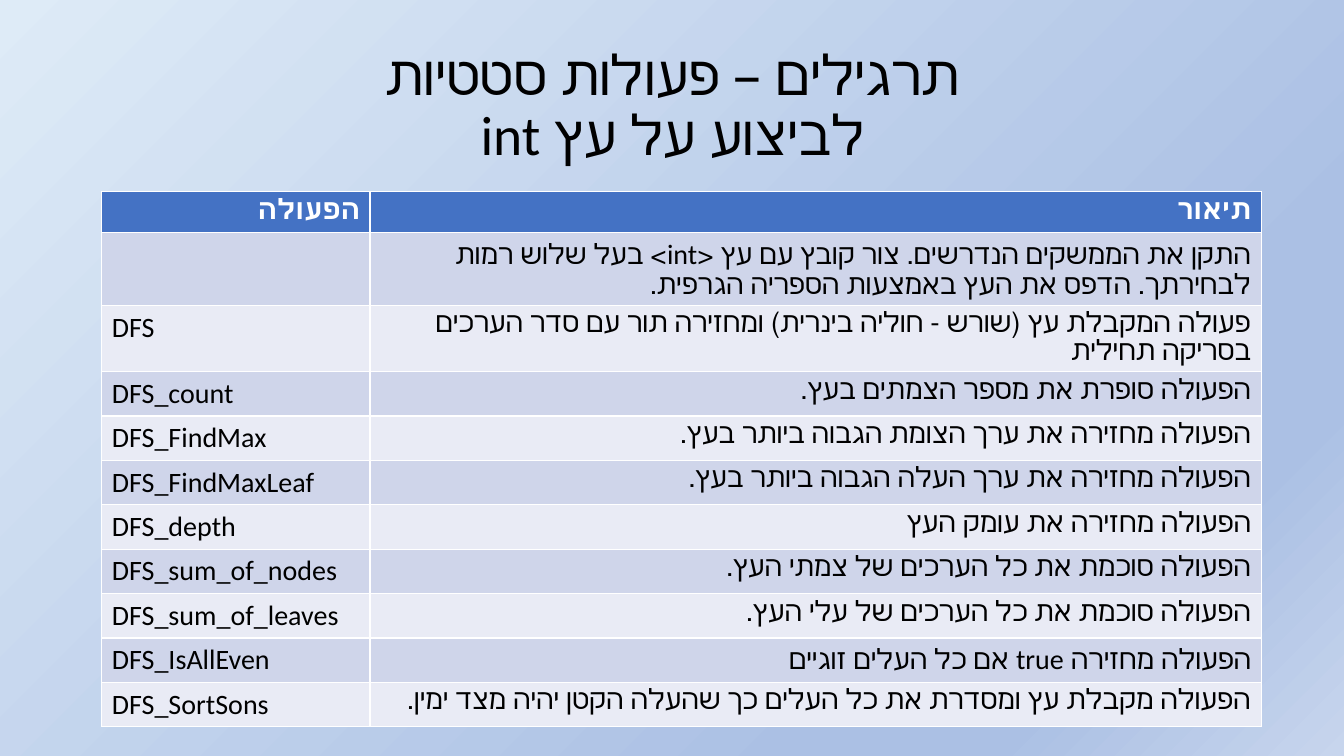
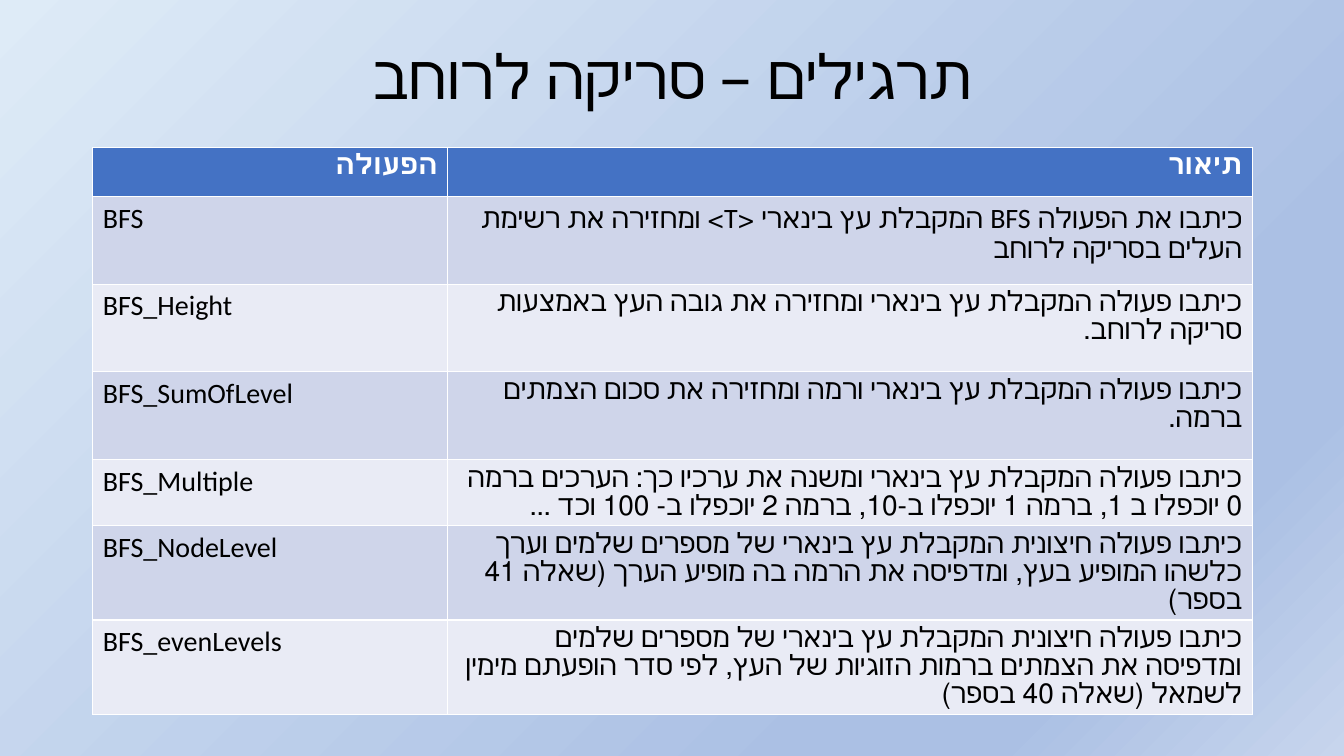
from lxml import etree
from pptx import Presentation
from pptx.dml.color import RGBColor
from pptx.enum.text import MSO_ANCHOR, MSO_AUTO_SIZE, PP_ALIGN
from pptx.oxml.ns import qn
from pptx.util import Inches, Pt

BLACK = RGBColor(0x00, 0x00, 0x00)
WHITE = RGBColor(0xFF, 0xFF, 0xFF)
HEADER_BLUE = RGBColor(0x44, 0x72, 0xC4)
BAND_DARK = RGBColor(0xCF, 0xD5, 0xEA)
BAND_LIGHT = RGBColor(0xE9, 0xEB, 0xF5)
SKY_PALE = RGBColor(0xDE, 0xEB, 0xF7)
SKY_DEEP = RGBColor(0xAB, 0xC0, 0xE4)
SKY_SOFT = RGBColor(0xC7, 0xD5, 0xED)
BACKGROUND_STOPS = [(0, SKY_PALE), (74, SKY_DEEP), (83, SKY_DEEP), (100, SKY_SOFT)]

FONT = "Calibri"
CONTENT_WIDTH = 11.5
HEADINGS = ("הפעולה", "תיאור")

SLIDES = [
    {
        "title": "תרגילים – פעולות סטטיות\nלביצוע על עץ int",
        "title_size": 39.6,
        "title_height": 1.33,
        "table_at": (1.01, 1.9),
        "name_width": 2.66,
        "row_heights": [0.41] * 11,
        "rows": [
            ("", "התקן את הממשקים הנדרשים. צור קובץ עם עץ <int> בעל שלוש רמות לבחירתך. "
                 "הדפס את העץ באמצעות הספריה הגרפית."),
            ("DFS", "פעולה המקבלת עץ (שורש - חוליה בינרית) ומחזירה תור עם סדר הערכים "
                    "בסריקה תחילית"),
            ("DFS_count", "הפעולה סופרת את מספר הצמתים בעץ."),
            ("DFS_FindMax", "הפעולה מחזירה את ערך הצומת הגבוה ביותר בעץ."),
            ("DFS_FindMaxLeaf", "הפעולה מחזירה את ערך העלה הגבוה ביותר בעץ."),
            ("DFS_depth", "הפעולה מחזירה את עומק העץ"),
            ("DFS_sum_of_nodes", "הפעולה סוכמת את כל הערכים של צמתי העץ."),
            ("DFS_sum_of_leaves", "הפעולה סוכמת את כל הערכים של עלי העץ."),
            ("DFS_IsAllEven", "הפעולה מחזירה true אם כל העלים זוגיים"),
            ("DFS_SortSons", "הפעולה מקבלת עץ ומסדרת את כל העלים כך שהעלה הקטן יהיה מצד ימין."),
        ],
    },
    {
        "title": "תרגילים – סריקה לרוחב",
        "title_size": 44,
        "title_height": 0.77,
        "table_at": (0.92, 1.46),
        "name_width": 3.52,
        "row_heights": [0.49] + [0.87] * 3 + [0.49] * 3,
        "rows": [
            ("BFS", "כיתבו את הפעולה BFS המקבלת עץ בינארי <T> ומחזירה את רשימת העלים "
                    "בסריקה לרוחב"),
            ("BFS_Height", "כיתבו פעולה המקבלת עץ בינארי ומחזירה את גובה העץ באמצעות "
                           "סריקה לרוחב."),
            ("BFS_SumOfLevel", "כיתבו פעולה המקבלת עץ בינארי ורמה ומחזירה את סכום הצמתים ברמה."),
            ("BFS_Multiple", "כיתבו פעולה המקבלת עץ בינארי ומשנה את ערכיו כך: הערכים ברמה 0 "
                             "יוכפלו ב 1, ברמה 1 יוכפלו ב-10, ברמה 2 יוכפלו ב- 100 וכד ..."),
            ("BFS_NodeLevel", "כיתבו פעולה חיצונית המקבלת עץ בינארי של מספרים שלמים וערך כלשהו "
                              "המופיע בעץ, ומדפיסה את הרמה בה מופיע הערך (שאלה 41 בספר)"),
            ("BFS_evenLevels", "כיתבו פעולה חיצונית המקבלת עץ בינארי של מספרים שלמים ומדפיסה את "
                               "הצמתים ברמות הזוגיות של העץ, לפי סדר הופעתם מימין לשמאל "
                               "(שאלה 40 בספר)"),
        ],
    },
]


def write_text(text_frame, text, size=20, color=BLACK, bold=False,
               align=PP_ALIGN.LEFT, rtl=False, line_spacing=None):
    """Fill the first paragraph; a newline becomes a line break."""
    paragraph = text_frame.paragraphs[0]
    paragraph.text = text
    paragraph.alignment = align
    if line_spacing:
        paragraph.line_spacing = line_spacing
    if rtl:
        paragraph._p.get_or_add_pPr().set("rtl", "1")
    for run in paragraph.runs:
        run.font.name = FONT
        run.font.size = Pt(size)
        run.font.bold = bold
        run.font.color.rgb = color


presentation = Presentation()
presentation.slide_width = Inches(13.33)
presentation.slide_height = Inches(7.5)

# Shared diagonal gradient background
master = presentation.slide_master
background_fill = master.background.fill
background_fill.gradient()
background_fill.gradient_angle = 315
stop_list = master._element.find(".//" + qn("a:gsLst"))
stop_list.clear()
for percent, color in BACKGROUND_STOPS:
    stop = etree.SubElement(stop_list, qn("a:gs"), pos=str(percent * 1000))
    etree.SubElement(stop, qn("a:srgbClr"), val=str(color))

title_only = presentation.slide_layouts.get_by_name("Title Only")

for content in SLIDES:
    slide = presentation.slides.add_slide(title_only)

    # Title
    title = slide.shapes.title
    title.left, title.top = Inches(0.92), Inches(0.4)
    title.width, title.height = Inches(CONTENT_WIDTH), Inches(content["title_height"])
    title.text_frame.auto_size = MSO_AUTO_SIZE.NONE
    title.text_frame.vertical_anchor = MSO_ANCHOR.MIDDLE
    write_text(title.text_frame, content["title"], size=content["title_size"],
               align=PP_ALIGN.CENTER, rtl=True, line_spacing=0.9)

    # Table of operations: the default style supplies the white borders
    rows = [HEADINGS] + content["rows"]
    left, top = content["table_at"]
    table = slide.shapes.add_table(
        len(rows), 2, Inches(left), Inches(top),
        Inches(CONTENT_WIDTH), Inches(sum(content["row_heights"]))).table
    table.columns[0].width = Inches(content["name_width"])
    table.columns[1].width = Inches(CONTENT_WIDTH - content["name_width"])
    for row_index, texts in enumerate(rows):
        table.rows[row_index].height = Inches(content["row_heights"][row_index])
        is_header = row_index == 0
        band = BAND_DARK if row_index % 2 else BAND_LIGHT
        for column_index, text in enumerate(texts):
            cell = table.cell(row_index, column_index)
            cell.fill.solid()
            cell.fill.fore_color.rgb = HEADER_BLUE if is_header else band
            hebrew = is_header or column_index == 1
            write_text(cell.text_frame, text, bold=is_header, rtl=hebrew,
                       color=WHITE if is_header else BLACK,
                       align=PP_ALIGN.RIGHT if hebrew else PP_ALIGN.LEFT)

presentation.save("out.pptx")
